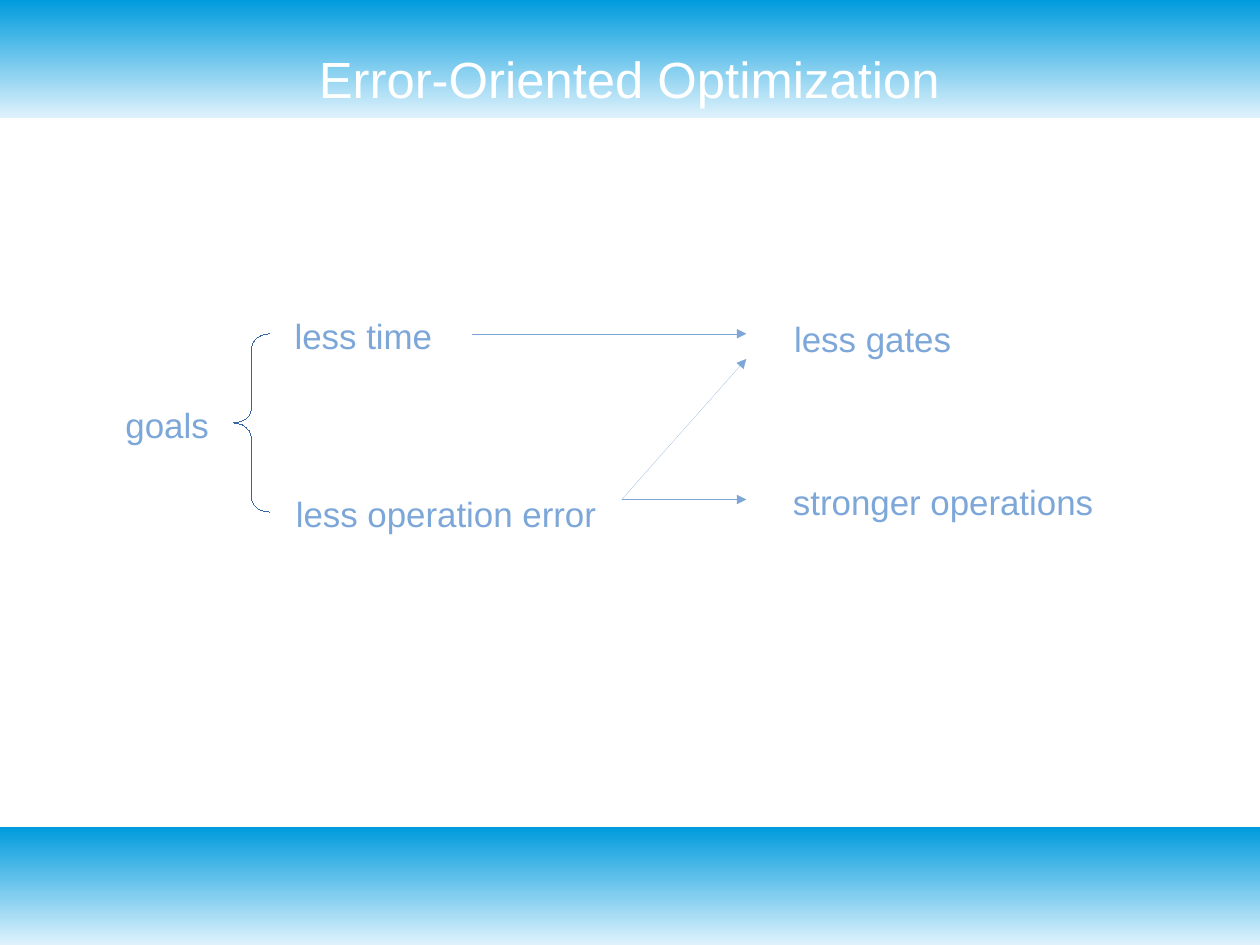
from dataclasses import dataclass
from lxml.etree import SubElement
from pptx import Presentation
from pptx.dml.color import RGBColor as RGB
from pptx.enum.shapes import MSO_CONNECTOR as CONN, MSO_SHAPE as SHAPE
from pptx.enum.text import MSO_ANCHOR as ANCHOR, PP_ALIGN as ALIGN
from pptx.oxml.ns import qn
from pptx.util import Inches, Pt


@dataclass(frozen=True)
class Theme:
    font: str = "Arial"
    title_size: int = 32
    label_size: int = 22
    title: RGB = RGB(0xFF, 0xFF, 0xFF)
    accent: RGB = RGB(0x7D, 0xA7, 0xD8)
    brace: RGB = RGB(0x34, 0x65, 0xA4)
    band_light: RGB = RGB(0xDF, 0xF2, 0xFC)
    band_dark: RGB = RGB(0x00, 0x9B, 0xDD)


THEME = Theme()
WIDTH, HEIGHT = Pt(793.75), Pt(595.25)
BAND = Inches(1.03)
TITLE = "Error-Oriented Optimization"
TITLE_BOX = (0.55, 0.33, 9.92, 0.7)
LABELS = [
    ("less time", (2.48, 2.7, 1.47, 0.44)),
    ("less operation error", (2.49, 4.26, 2.96, 0.44)),
    ("goals", (1, 3.48, 1.04, 0.75)),
    ("less gates", (6.85, 2.73, 1.64, 0.44)),
    ("stronger operations", (6.84, 4.16, 2.96, 0.44)),
]
BRACE_BOX = (2.04, 2.92, 0.32, 1.56)
BRACE_CURVE = 0.13
TIME, ERROR = (4.13, 2.92), (5.44, 4.37)
HEAD_X = 6.53
ARROWS = [
    (TIME, (HEAD_X, TIME[1])),
    (ERROR, (HEAD_X, 3.14)),
    (ERROR, (HEAD_X, ERROR[1])),
]


def inches(values):
    return [Inches(v) for v in values]


def write(tf, text, size, color):
    r = tf.paragraphs[0].add_run()
    r.text = text
    r.font.name = THEME.font
    r.font.size = Pt(size)
    r.font.color.rgb = color


def draw_hairline(sp, color):
    sp.line.color.rgb = color
    ln = sp.element.spPr.find(qn("a:ln"))
    ln.set("w", "0")
    return ln


def add_title(s):
    sp = s.shapes.title
    sp.left, sp.top, sp.width, sp.height = inches(TITLE_BOX)
    tf = sp.text_frame
    tf.margin_left = tf.margin_right = tf.margin_top = tf.margin_bottom = 0
    tf.vertical_anchor = ANCHOR.MIDDLE
    tf.paragraphs[0].alignment = ALIGN.CENTER
    write(tf, TITLE, THEME.title_size, THEME.title)


def add_band(s, top):
    sp = s.shapes.add_shape(SHAPE.RECTANGLE, 0, top, WIDTH, BAND)
    sp.shadow.inherit = False
    sp.line.fill.background()
    sp.fill.gradient()
    sp.fill.gradient_angle = 90
    for stop, color in zip(sp.fill.gradient_stops, (THEME.band_light, THEME.band_dark)):
        stop.color.rgb = color
    s.shapes.title.element.addprevious(sp.element)


def add_label(s, text, box):
    tf = s.shapes.add_textbox(*inches(box)).text_frame
    tf.word_wrap = True
    write(tf, text, THEME.label_size, THEME.accent)


def add_brace(s):
    sp = s.shapes.add_shape(SHAPE.LEFT_BRACE, *inches(BRACE_BOX))
    sp.adjustments[0] = BRACE_CURVE / BRACE_BOX[2]
    sp.shadow.inherit = False
    sp.fill.background()
    draw_hairline(sp, THEME.brace)


def add_arrow(s, start, end):
    c = s.shapes.add_connector(CONN.STRAIGHT, *inches(start + end))
    ln = draw_hairline(c, THEME.accent)
    SubElement(ln, qn("a:tailEnd"), type="triangle")
    SubElement(c.element.spPr, qn("a:effectLst"))


def main():
    prs = Presentation()
    prs.slide_width, prs.slide_height = WIDTH, HEIGHT
    s = prs.slides.add_slide(prs.slide_layouts[5])
    add_title(s)
    for top in (0, HEIGHT - BAND):
        add_band(s, top)
    for text, box in LABELS:
        add_label(s, text, box)
    add_brace(s)
    for start, end in ARROWS:
        add_arrow(s, start, end)
    prs.save("out.pptx")


if __name__ == "__main__":
    main()
